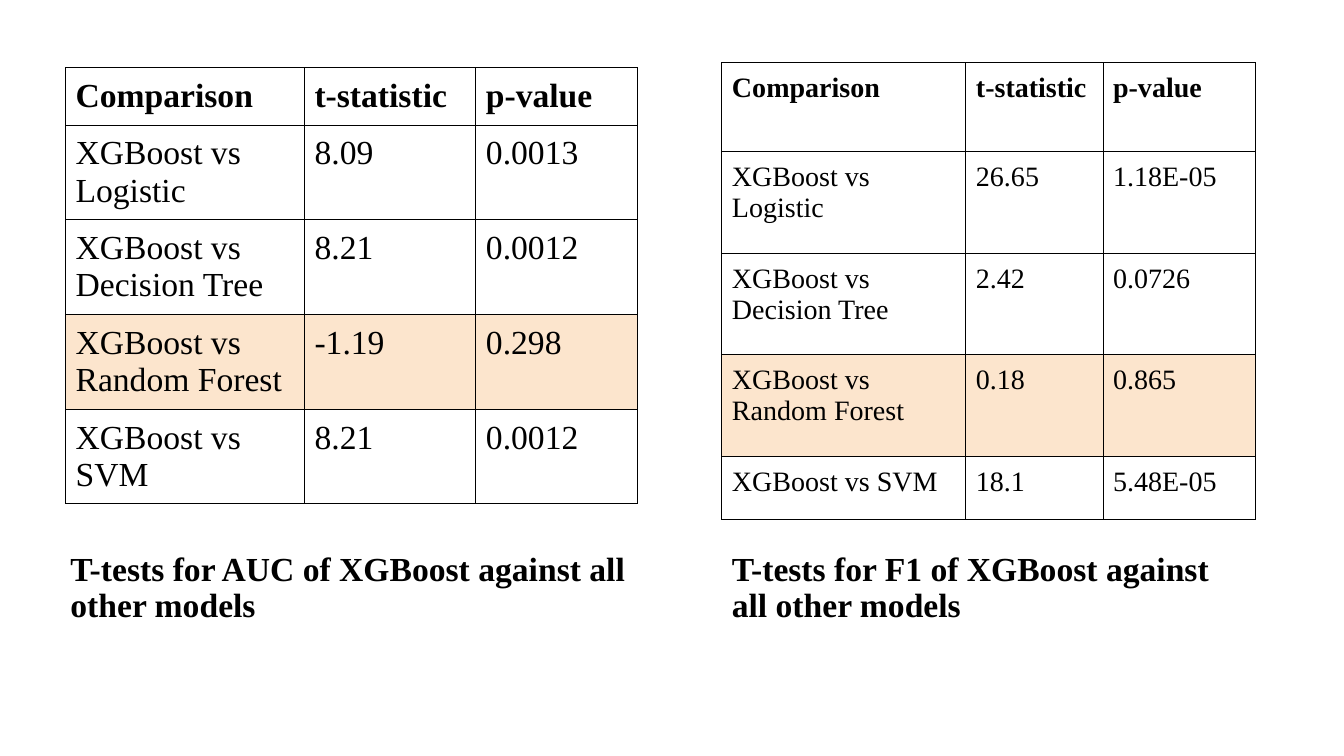
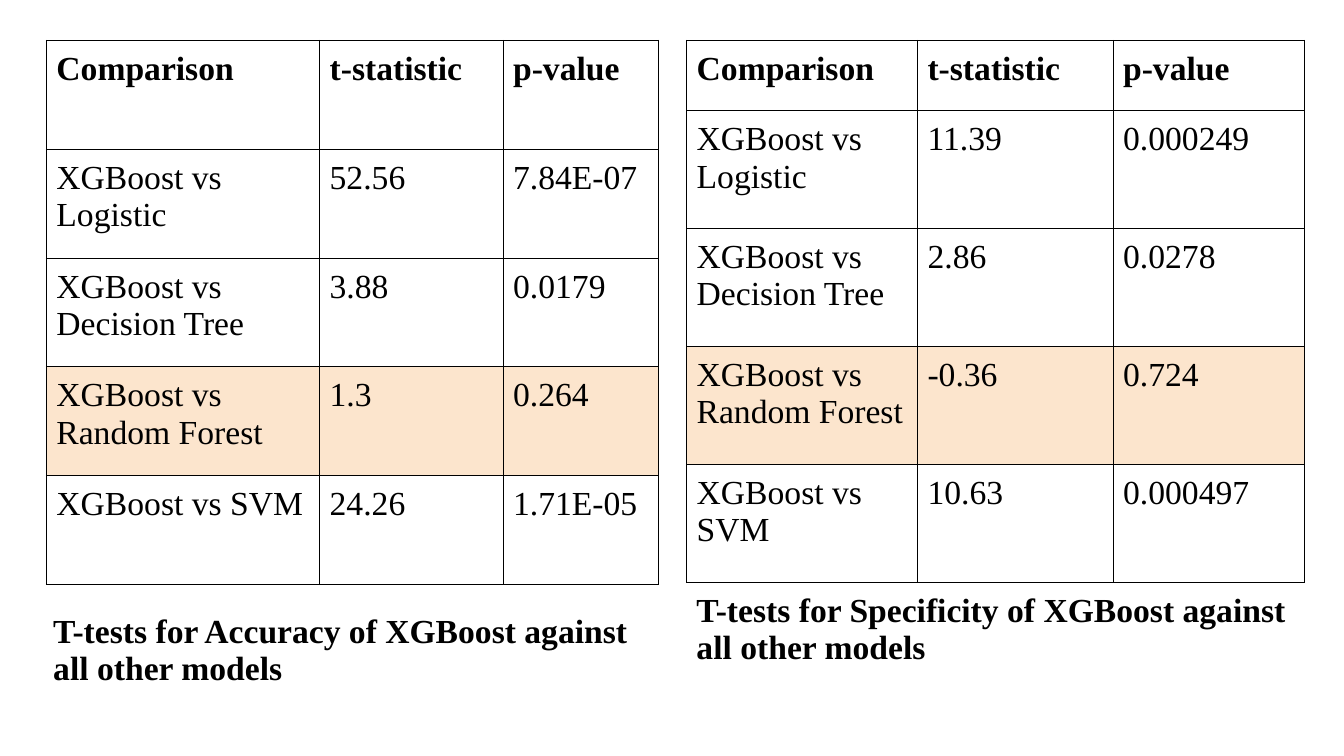
from lxml import etree
from pptx import Presentation
from pptx.dml.color import RGBColor
from pptx.oxml.ns import qn
from pptx.util import Inches, Pt

BLACK = RGBColor(0x00, 0x00, 0x00)
HIGHLIGHT = RGBColor(0xFC, 0xE5, 0xCD)
FONT = "Times New Roman"
CAPTION_SIZE = 24
INSETS = {f"margin_{side}": Inches(0.1) for side in ("left", "top", "right", "bottom")}
HEADER = ("Comparison", "t-statistic", "p-value")
MODELS = ("Logistic", "Decision Tree", "Random Forest", "SVM")
HIGHLIGHTED_MODEL = "Random Forest"

# Each slide holds two panels: a table of t-tests with a caption below it.
SLIDES = [
    [
        {
            "metric": "AUC", "size": 24, "table_at": (0.65, 0.67),
            "columns": (2.37, 1.7, 1.6), "rows": (0.57, 0.94, 0.94, 0.94, 0.94),
            "caption_at": (0.6, 5.38, 5.71, 0.93),
            "results": [("8.09", "0.0013"), ("8.21", "0.0012"),
                        ("-1.19", "0.298"), ("8.21", "0.0012")],
        },
        {
            "metric": "F1", "size": 20, "table_at": (7.16, 0.62),
            "columns": (2.42, 1.36, 1.51), "rows": (0.88, 1.01, 1.01, 1.01, 0.62),
            "caption_at": (7.16, 5.38, 5.35, 0.93),
            "results": [("26.65", "1.18E-05"), ("2.42", "0.0726"),
                        ("0.18", "0.865"), ("18.1", "5.48E-05")],
        },
    ],
    [
        {
            "metric": "Accuracy", "size": 24, "table_at": (0.46, 0.4),
            "columns": (2.71, 1.82, 1.54), "rows": (1.08,) * 5,
            "caption_at": (0.43, 6, 6.13, 0.93),
            "results": [("52.56", "7.84E-07"), ("3.88", "0.0179"),
                        ("1.3", "0.264"), ("24.26", "1.71E-05")],
        },
        {
            "metric": "Specificity", "size": 24, "table_at": (6.81, 0.4),
            "columns": (2.29, 1.94, 1.9), "rows": (0.7, 1.17, 1.17, 1.17, 1.17),
            "caption_at": (6.81, 5.79, 6.2, 1.03),
            "results": [("11.39", "0.000249"), ("2.86", "0.0278"),
                        ("-0.36", "0.724"), ("10.63", "0.000497")],
        },
    ],
]


def write_text(text_frame, text, size, bold):
    paragraph = text_frame.paragraphs[0]
    run = paragraph.add_run()
    run.text = text
    for name, value in {"name": FONT, "size": Pt(size), "bold": bold}.items():
        setattr(run.font, name, value)
    run.font.color.rgb = BLACK
    return paragraph


def add_borders(cell):
    properties = cell._tc.get_or_add_tcPr()
    for side in ("lnL", "lnR", "lnT", "lnB"):
        line = etree.SubElement(properties, qn(f"a:{side}"), w=str(Pt(0.75)))
        fill = etree.SubElement(line, qn("a:solidFill"))
        etree.SubElement(fill, qn("a:srgbClr"), val=str(BLACK))


presentation = Presentation()
presentation.slide_width = Inches(13.33)
presentation.slide_height = Inches(7.5)
blank_layout = presentation.slide_layouts[6]

for panels in SLIDES:
    slide = presentation.slides.add_slide(blank_layout)
    for panel in panels:
        records = [HEADER]
        for model, result in zip(MODELS, panel["results"]):
            records.append((f"XGBoost vs {model}", *result))

        left, top = panel["table_at"]
        width, height = sum(panel["columns"]), sum(panel["rows"])
        table = slide.shapes.add_table(
            len(records), len(HEADER),
            Inches(left), Inches(top), Inches(width), Inches(height),
        ).table
        table.first_row = False
        table.horz_banding = False
        for column, column_width in zip(table.columns, panel["columns"]):
            column.width = Inches(column_width)
        for row, row_height in zip(table.rows, panel["rows"]):
            row.height = Inches(row_height)

        for row, record in zip(table.rows, records):
            for cell, text in zip(row.cells, record):
                for name, value in INSETS.items():
                    setattr(cell, name, value)
                write_text(cell.text_frame, text, panel["size"], record is HEADER)
                add_borders(cell)
                if record[0].endswith(HIGHLIGHTED_MODEL):
                    cell.fill.solid()
                    cell.fill.fore_color.rgb = HIGHLIGHT
                else:
                    cell.fill.background()

        caption = slide.shapes.add_textbox(*map(Inches, panel["caption_at"]))
        caption.text_frame.word_wrap = True
        for name, value in INSETS.items():
            setattr(caption.text_frame, name, value)
        caption_text = f"T-tests for {panel['metric']} of XGBoost against all other models"
        paragraph = write_text(caption.text_frame, caption_text, CAPTION_SIZE, True)
        paragraph.line_spacing = 0.9
        paragraph.space_before = Pt(10)

presentation.save("out.pptx")
